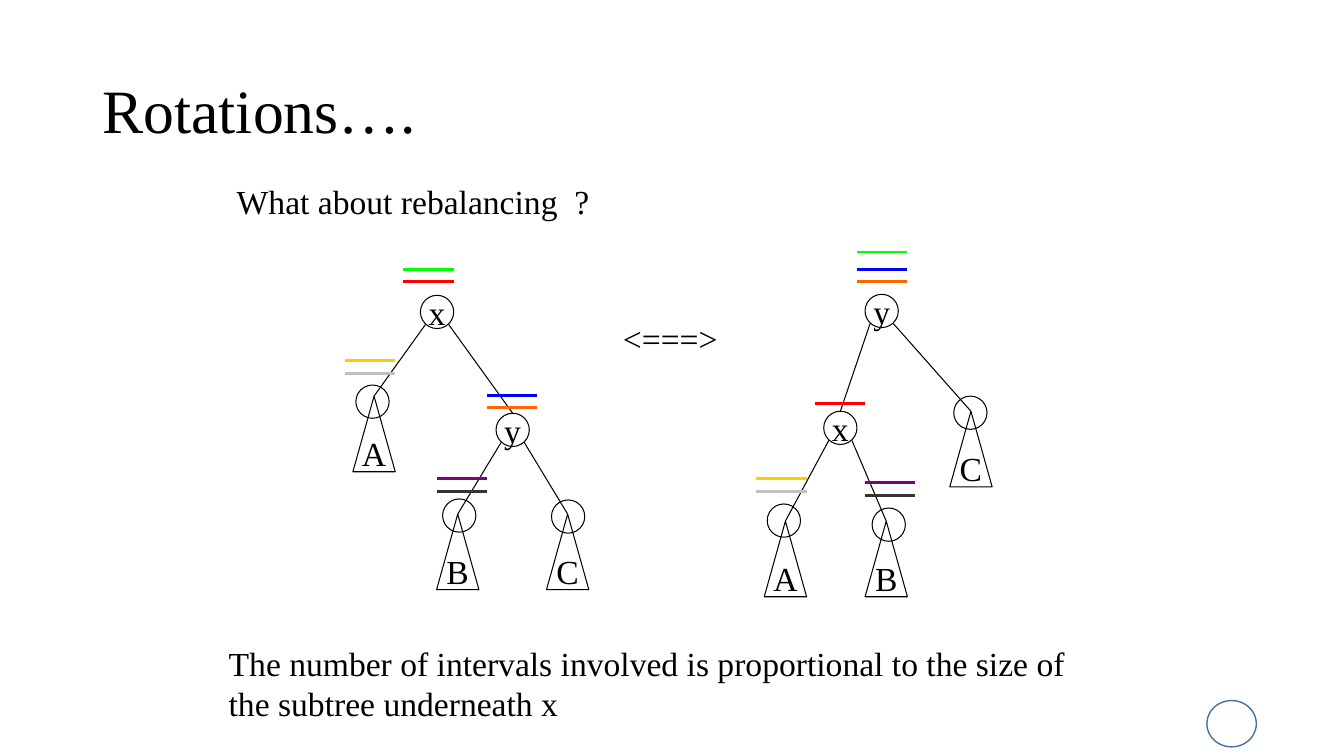
import dataclasses

import pptx
import pptx.dml.color
import pptx.enum.shapes
import pptx.enum.text
import pptx.oxml.ns
import pptx.util
from lxml import etree

Inches = pptx.util.Inches
SHAPES = pptx.enum.shapes.MSO_SHAPE
ALIGN = pptx.enum.text.PP_ALIGN
ANCHOR = pptx.enum.text.MSO_ANCHOR


@dataclasses.dataclass(frozen=True)
class Theme:
    """Colours, type sizes and line widths."""
    font: str = "Times New Roman"
    title_size: float = 44
    body_size: float = 24
    thin: float = 0.75
    thick: float = 2
    ink: str = "000000"
    badge: str = "43739E"
    green: str = "00FF00"
    red: str = "FF0000"
    blue: str = "0000FF"
    orange: str = "FF6600"
    purple: str = "800080"
    charcoal: str = "333333"
    yellow: str = "FFCC00"
    silver: str = "C0C0C0"


@dataclasses.dataclass(frozen=True)
class Subtree:
    """A triangle with its apex circle, placed in the tree's box."""
    label: str
    left: float
    top: float
    circle_left: float
    circle_top: float


@dataclasses.dataclass(frozen=True)
class Node:
    """An inner node and its two children, placed in the tree's box."""
    label: str
    left: float
    top: float
    children: tuple


THEME = Theme()
CIRCLE = 0.33
TRIANGLE_WIDTH, TRIANGLE_HEIGHT = 0.42, 0.75
BAR_LENGTH, BAR_GAP = 0.5, 0.125
EDGE_STARTS, EDGE_DROP = (0.05, 0.28), 0.29

LEFT_TREE = Node("x", 0.75, 0.26, (
    Subtree("A", 0.08, 1.26, 0.11, 1.15),
    Node("y", 1.5, 1.43, (
        Subtree("B", 0.91, 2.43, 0.97, 2.28),
        Subtree("C", 2.0, 2.43, 2.05, 2.29))),
))
RIGHT_TREE = Node("y", 1.08, 0.42, (
    Node("x", 0.67, 1.58, (
        Subtree("A", 0.08, 2.67, 0.11, 2.5),
        Subtree("B", 1.08, 2.67, 1.15, 2.54))),
    Subtree("C", 1.92, 1.58, 1.96, 1.43),
))

X_ONLY = (THEME.red,)
ROOT_ONLY = (THEME.green,)
Y_PAIR = (THEME.blue, THEME.orange)
A_PAIR = (THEME.yellow, THEME.silver)
B_PAIR = (THEME.purple, THEME.charcoal)
LEFT_INTERVALS = (
    (0.58, 0, ROOT_ONLY + X_ONLY), (0, 0.91, A_PAIR),
    (1.41, 1.25, Y_PAIR), (0.91, 2.08, B_PAIR),
)
RIGHT_INTERVALS = (
    (1.0, 0, ROOT_ONLY), (1.0, 0.17, Y_PAIR), (0.58, 1.5, X_ONLY),
    (0, 2.25, A_PAIR), (1.08, 2.29, B_PAIR),
)


def rgb(value):
    """Turn a hex string into a colour."""
    return pptx.dml.color.RGBColor.from_string(value)


def write(shape, text, size=THEME.body_size):
    """Set a shape's text in the slide's font and return its paragraph."""
    shape.text_frame.text = text
    paragraph = shape.text_frame.paragraphs[0]
    font = paragraph.runs[0].font
    font.name = THEME.font
    font.size = pptx.util.Pt(size)
    font.color.rgb = rgb(THEME.ink)
    return paragraph


def add_text(slide, box, text, size=THEME.body_size):
    """Add a wrapping text box and return its shape."""
    shape = slide.shapes.add_textbox(*map(Inches, box))
    shape.text_frame.word_wrap = True
    write(shape, text, size)
    return shape


def add_title(slide, box, text):
    """Add the slide title, centred vertically in its box."""
    shape = add_text(slide, box, text, THEME.title_size)
    shape.text_frame.vertical_anchor = ANCHOR.MIDDLE
    shape.text_frame.paragraphs[0].line_spacing = 0.9


def add_outline(slide, kind, box, label="", colour=THEME.ink, width=THEME.thin):
    """Add an unfilled shape with an optional centred label."""
    shape = slide.shapes.add_shape(kind, *map(Inches, box))
    shape.shadow.inherit = False
    shape.fill.background()
    shape.line.color.rgb = rgb(colour)
    shape.line.width = pptx.util.Pt(width)
    if label:
        shape.text_frame.word_wrap = False
        shape.text_frame.vertical_anchor = ANCHOR.MIDDLE
        write(shape, label).alignment = ALIGN.CENTER


def add_line(slide, start, end, colour=THEME.ink, width=THEME.thin):
    """Add a straight line between two points."""
    line = slide.shapes.add_connector(
        pptx.enum.shapes.MSO_CONNECTOR.STRAIGHT, *map(Inches, start + end))
    line.line.color.rgb = rgb(colour)
    line.line.width = pptx.util.Pt(width)
    etree.SubElement(line._element.spPr, pptx.oxml.ns.qn("a:effectLst"))


def add_tree(slide, box, tree):
    """Draw a tree inside its box and return the point where it hangs."""
    left, top = box[0] + tree.left, box[1] + tree.top
    if isinstance(tree, Subtree):
        add_outline(slide, SHAPES.ISOSCELES_TRIANGLE,
                    (left, top, TRIANGLE_WIDTH, TRIANGLE_HEIGHT), tree.label)
        add_outline(slide, SHAPES.OVAL,
                    (box[0] + tree.circle_left, box[1] + tree.circle_top, CIRCLE, CIRCLE))
        return left + TRIANGLE_WIDTH / 2, top
    add_outline(slide, SHAPES.OVAL, (left, top, CIRCLE, CIRCLE), tree.label)
    for edge_start, child in zip(EDGE_STARTS, tree.children):
        child_top = add_tree(slide, box, child)
        add_line(slide, (left + edge_start, top + EDGE_DROP), child_top)
    return left + CIRCLE / 2, top


def add_intervals(slide, box, intervals):
    """Stack the coloured interval bars above the nodes of a tree."""
    for left, top, colours in intervals:
        for row, colour in enumerate(colours):
            x, y = box[0] + left, box[1] + top + row * BAR_GAP
            add_line(slide, (x, y), (x + BAR_LENGTH, y), colour, THEME.thick)


def add_rotation_slide(presentation):
    """Build the slide that compares both sides of a rotation."""
    slide = presentation.slides.add_slide(presentation.slide_layouts[6])
    add_outline(slide, SHAPES.OVAL, (11.97, 6.95, 0.49, 0.46), colour=THEME.badge, width=1)
    add_title(slide, (0.92, 0.4, 11.5, 1.45), "Rotations….")
    add_text(slide, (2.25, 1.75, 8.67, 0.5), "What about rebalancing  ?")
    for box, tree, intervals in (
        ((3.42, 2.67), LEFT_TREE, LEFT_INTERVALS),
        ((7.5, 2.5), RIGHT_TREE, RIGHT_INTERVALS),
    ):
        add_tree(slide, box, tree)
        add_intervals(slide, box, intervals)
    add_text(slide, (6.08, 3.1, 1.17, 0.5), "<===>")
    add_text(slide, (2.17, 6.33, 8.67, 0.91),
             "The number of intervals involved is proportional to the size of "
             "the subtree underneath x")


def main():
    """Create and save the presentation."""
    presentation = pptx.Presentation()
    presentation.slide_width = Inches(13.33)
    presentation.slide_height = Inches(7.5)
    add_rotation_slide(presentation)
    presentation.save("out.pptx")


if __name__ == "__main__":
    main()
